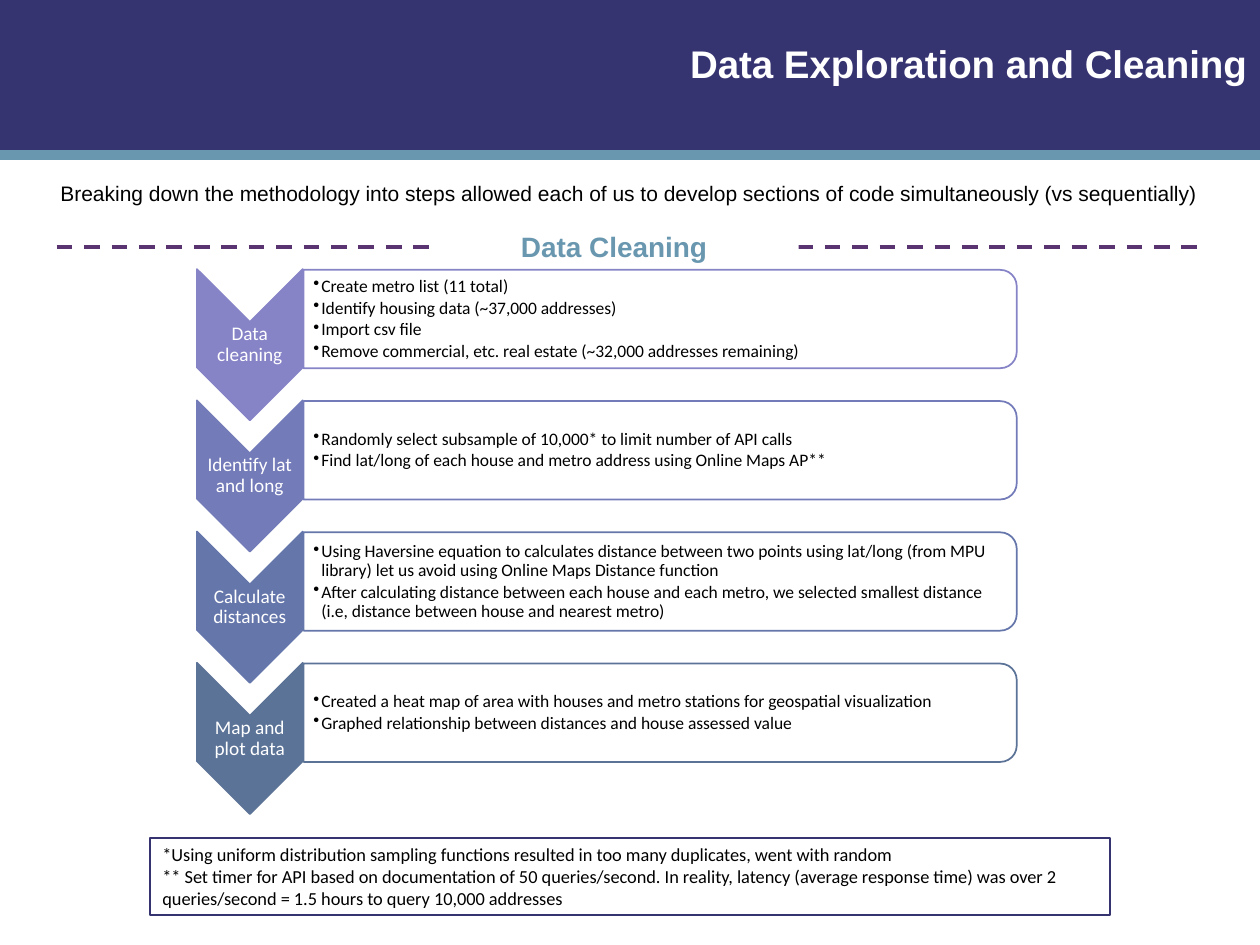
from lxml import etree
from pptx import Presentation
from pptx.dml.color import RGBColor
from pptx.enum import dml, shapes, text
from pptx.oxml.ns import qn
from pptx.util import Pt

COLORS = {
    "navy": "363371",
    "teal": "6997AF",
    "purple": "593470",
    "white": "FFFFFF",
    "black": "000000",
}
STEPS = [
    ("Data cleaning", "8683C7", [
        "Create metro list (11 total)",
        "Identify housing data (~37,000 addresses)",
        "Import csv file",
        "Remove commercial, etc. real estate (~32,000 addresses remaining)",
    ]),
    ("Identify lat and long", "737BB9", [
        "Randomly select subsample of 10,000* to limit number of API calls",
        "Find lat/long of each house and metro address using Online Maps AP**",
    ]),
    ("Calculate distances", "6576AB", [
        "Using Haversine equation to calculates distance between two points using "
        "lat/long (from MPU library) let us avoid using Online Maps Distance function",
        "After calculating distance between each house and each metro, we selected "
        "smallest distance (i.e, distance between house and nearest metro)",
    ]),
    ("Map and plot data", "5C7398", [
        "Created a heat map of area with houses and metro stations for geospatial visualization",
        "Graphed relationship between distances and house assessed value",
    ]),
]
FOOTNOTES = [
    "*Using uniform distribution sampling functions resulted in too many duplicates, "
    "went with random",
    "** Set timer for API based on documentation of 50 queries/second. In reality, latency "
    "(average response time) was over 2 queries/second = 1.5 hours to query 10,000 addresses",
]
LEFT, CENTER, RIGHT = text.PP_ALIGN.LEFT, text.PP_ALIGN.CENTER, text.PP_ALIGN.RIGHT
TOP, MIDDLE = text.MSO_ANCHOR.TOP, text.MSO_ANCHOR.MIDDLE


def rgb(color):
    return RGBColor.from_string(color)


def write(shape, lines, size, font="Arial", color=COLORS["black"], bold=False,
          align=LEFT, anchor=TOP, insets=(7.2, 3.6, 7.2, 3.6)):
    """Fill a shape with one paragraph per line, all in one style."""
    frame = shape.text_frame
    frame.text = "\n".join(lines)
    frame.word_wrap = True
    frame.auto_size = text.MSO_AUTO_SIZE.NONE
    frame.vertical_anchor = anchor
    frame.margin_left, frame.margin_top, frame.margin_right, frame.margin_bottom = map(Pt, insets)
    for paragraph in frame.paragraphs:
        paragraph.alignment = align
        for run in paragraph.runs:
            run.font.name = font
            run.font.size = Pt(size)
            run.font.bold = bold
            run.font.color.rgb = rgb(color)


def add_box(slide, kind, left, top, width, height, fill=None, line=None):
    shape = slide.shapes.add_shape(kind, Pt(left), Pt(top), Pt(width), Pt(height))
    shape.shadow.inherit = False
    if fill:
        shape.fill.solid()
        shape.fill.fore_color.rgb = rgb(fill)
    else:
        shape.fill.background()
    if line:
        shape.line.color.rgb = rgb(line)
        shape.line.width = Pt(1)
    else:
        shape.line.fill.background()
    return shape


def add_turned_box(slide, kind, left, top, width, height, fill, line):
    """Add a shape turned by 90 degrees that covers the given box once turned."""
    shift = (width - height) / 2
    shape = add_box(slide, kind, left + shift, top - shift, height, width, fill, line)
    shape.rotation = 90
    return shape


def add_text(slide, left, top, width, height, lines, size, **style):
    box = slide.shapes.add_textbox(Pt(left), Pt(top), Pt(width), Pt(height))
    write(box, lines, size, **style)
    return box


def add_rule(slide, left, y, width, color, weight, dash=None):
    rule = slide.shapes.add_connector(
        shapes.MSO_CONNECTOR.STRAIGHT, Pt(left), Pt(y), Pt(left + width), Pt(y))
    rule.line.color.rgb = rgb(color)
    rule.line.width = Pt(weight)
    if dash:
        rule.line.dash_style = dash
    etree.SubElement(rule.element.spPr, qn("a:effectLst"))


def add_bullets(box):
    for index, paragraph in enumerate(box.text_frame.paragraphs):
        paragraph.line_spacing = 0.9
        paragraph.space_before = Pt(1.5 if index else 0)
        properties = paragraph._p.get_or_add_pPr()
        properties.set("marL", str(Pt(4.5)))
        properties.set("indent", str(-Pt(4.5)))
        etree.SubElement(properties, qn("a:buChar"), char="•")


def add_header(slide, left, top, width, height):
    add_box(slide, shapes.MSO_SHAPE.RECTANGLE, left, top, width, height, COLORS["navy"])
    title = slide.shapes.title
    title.left, title.top = Pt(left + width - 483), Pt(top + 19.4)
    title.width, title.height = Pt(483), Pt(34)
    write(title, ["Data Exploration and Cleaning"], 22, color=COLORS["white"], bold=True,
          align=RIGHT)
    title.element.getparent().append(title.element)  # bring in front of the band
    add_rule(slide, left, top + height, width, COLORS["teal"], 6)


def add_section_heading(slide, left, top, width, height):
    add_rule(slide, left, top + height / 2, width, COLORS["purple"], 2.25,
             dml.MSO_LINE.DASH)
    label = add_box(slide, shapes.MSO_SHAPE.RECTANGLE, left + 213, top, 211, height,
                    COLORS["white"])
    write(label, ["Data Cleaning"], 16, color=COLORS["teal"], bold=True, align=CENTER)


def add_step(slide, left, top, width, height, name, color, points):
    arrow_width, panel_height = 60.5, 56.2
    add_turned_box(slide, shapes.MSO_SHAPE.CHEVRON, left, top, arrow_width, height, color, color)
    label = add_text(slide, left, top + 30.2, arrow_width, 26, [name], 11, font="Calibri",
                     color=COLORS["white"], align=CENTER, anchor=MIDDLE, insets=[0.6] * 4)
    label.text_frame.paragraphs[0].line_spacing = 0.9

    panel_left, panel_width = left + arrow_width + 0.5, width - arrow_width - 0.5
    panel = add_turned_box(slide, shapes.MSO_SHAPE.ROUND_2_SAME_RECTANGLE, panel_left, top + 0.4,
                           panel_width, panel_height, COLORS["white"], color)
    panel.adjustments[0] = 0.167
    fill_color = panel.element.spPr.find(qn("a:solidFill"))[0]
    etree.SubElement(fill_color, qn("a:alpha"), val="90000")
    bullets = add_text(slide, panel_left, top + 3.1, panel_width - 2.8, 51, points, 10,
                       font="Calibri", anchor=MIDDLE, insets=(5.6, 0.6, 0.6, 0.6))
    add_bullets(bullets)


def add_steps(slide, left, top, width, pitch):
    for index, step in enumerate(STEPS):
        add_step(slide, left, top + index * pitch, width, 86.4, *step)


def add_footnotes(slide, left, top, width, height):
    box = add_box(slide, shapes.MSO_SHAPE.RECTANGLE, left, top, width, height,
                  line=COLORS["navy"])
    write(box, FOOTNOTES, 10.5, font="Calibri", anchor=MIDDLE)


def main():
    presentation = Presentation()
    presentation.slide_width, presentation.slide_height = Pt(720), Pt(540)
    slide = presentation.slides.add_slide(presentation.slide_layouts[5])
    add_section_heading(slide, 32.4, 127.6, 655.2, 27)
    add_header(slide, 0, 0, 720, 88.5)
    add_text(slide, 27.4, 99.4, 665.2, 21.8, [
        "Breaking down the methodology into steps allowed each of us to develop "
        "sections of code simultaneously (vs sequentially)"], 12)
    add_steps(slide, 112.5, 153.8, 468.5, 75)
    add_footnotes(slide, 85.7, 478.8, 548.6, 44)
    presentation.save("out.pptx")


if __name__ == "__main__":
    main()
